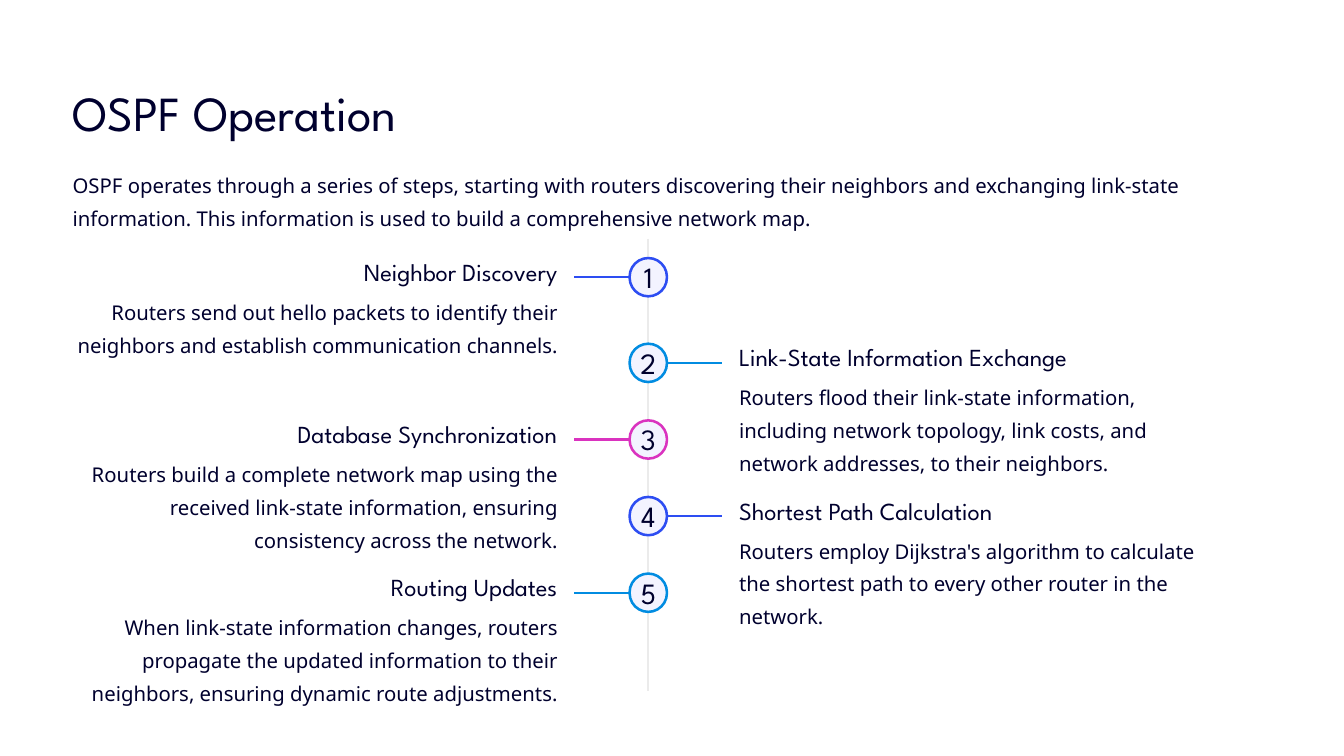
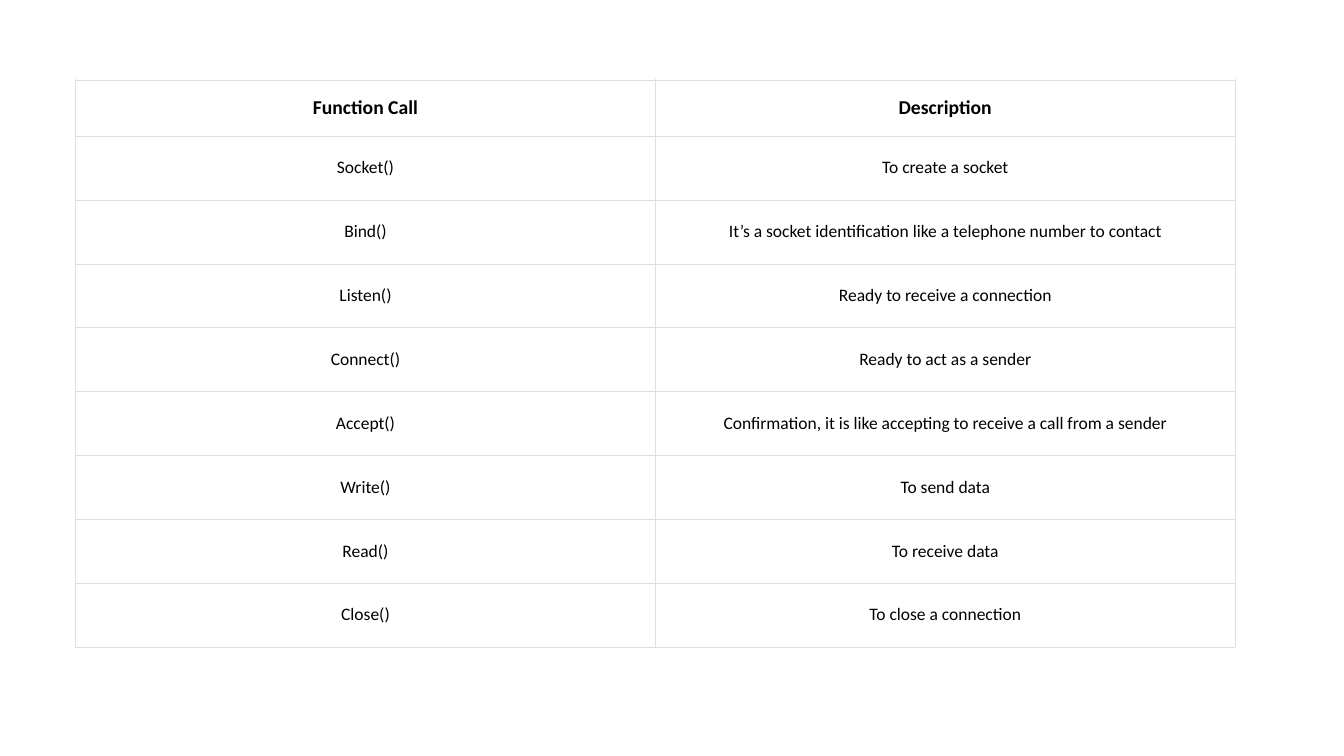
from dataclasses import dataclass
from itertools import cycle
from lxml.etree import SubElement
from pptx import Presentation
from pptx.dml.color import RGBColor
from pptx.enum.shapes import MSO_CONNECTOR as Connector, MSO_SHAPE as Shape
from pptx.enum.text import MSO_ANCHOR as Anchor, PP_ALIGN as Align
from pptx.oxml import parse_xml
from pptx.oxml.ns import nsdecls, qn
from pptx.util import Inches, Pt


@dataclass(frozen=True)
class Theme:
    ink: str = "00002E"
    white: str = "FFFFFF"
    black: str = "000000"
    badge: str = "F3F3FF"
    axis: str = "EBEBEB"
    grid: str = "DFDFDF"
    accents: tuple = ("2D4DF2", "018CE1", "DA33BF")
    heading_font: str = "League Spartan"
    body_font: str = "Noto Sans"
    table_font: str = "Calibri"
    title: float = 35
    number: float = 21
    step: float = 17.5
    body: float = 14.5
    table_head: float = 14
    table_body: float = 12.5


theme = Theme()


def write(frame, text, size, font, color, align=Align.LEFT, spacing=None, bold=False):
    para = frame.paragraphs[0]
    para.alignment = align
    if spacing:
        para.line_spacing = Pt(spacing)
    span = para.add_run()
    span.text = text
    span.font.size = Pt(size)
    span.font.name = font
    span.font.bold = bold
    span.font.color.rgb = RGBColor.from_string(color)


def add_line(page, x1, y1, x2, y2, color):
    line = page.shapes.add_connector(
        Connector.STRAIGHT, Inches(x1), Inches(y1), Inches(x2), Inches(y2))
    line.line.color.rgb = RGBColor.from_string(color)
    line.line.width = Pt(1.5)
    SubElement(line._element.spPr, qn("a:effectLst"))
    return line


deck = Presentation()
deck.slide_width, deck.slide_height = Inches(13.33), Inches(7.5)
blank = deck.slide_layouts[6]

page = deck.slides.add_slide(blank)
left, right, column_width = 0.72, 7.33, 4.81
axis_x, badge_width, badge_height = 6.43, 0.37, 0.38
stem_length = 0.55
heading_style = (theme.step, theme.heading_font, theme.ink)
body_style = (theme.body, theme.body_font, theme.ink)

add_line(page, axis_x, 2.37, axis_x, 6.86, theme.axis)

texts = [
    (left, 0.8, 11.42, 0.5, "OSPF Operation",
     (theme.title, theme.heading_font, theme.ink), Align.LEFT, 43.5),
    (left, 1.63, 11.42, 0.54,
     "OSPF operates through a series of steps, starting with routers discovering their "
     "neighbors and exchanging link-state information. This information is used to build "
     "a comprehensive network map.", body_style, Align.LEFT, 23.5),
]
steps = [
    (2.56, "Neighbor Discovery",
     "Routers send out hello packets to identify their neighbors and establish "
     "communication channels."),
    (3.41, "Link-State Information Exchange",
     "Routers flood their link-state information, including network topology, link costs, "
     "and network addresses, to their neighbors."),
    (4.17, "Database Synchronization",
     "Routers build a complete network map using the received link-state information, "
     "ensuring consistency across the network."),
    (4.93, "Shortest Path Calculation",
     "Routers employ Dijkstra's algorithm to calculate the shortest path to every other "
     "router in the network."),
    (5.69, "Routing Updates",
     "When link-state information changes, routers propagate the updated information to "
     "their neighbors, ensuring dynamic route adjustments."),
]

for number, ((top, heading, detail), accent) in enumerate(zip(steps, cycle(theme.accents)), 1):
    on_left = number % 2 == 1
    badge = page.shapes.add_shape(
        Shape.ROUNDED_RECTANGLE, Inches(axis_x - badge_width / 2), Inches(top),
        Inches(badge_width), Inches(badge_height))
    badge.adjustments[0] = 0.5
    badge.shadow.inherit = False
    badge.fill.solid()
    badge.fill.fore_color.rgb = RGBColor.from_string(theme.badge)
    badge.line.color.rgb = RGBColor.from_string(accent)
    badge.line.width = Pt(1.8)
    frame = badge.text_frame
    frame.margin_left = frame.margin_right = frame.margin_bottom = 0
    frame.margin_top = Inches(0.05)
    frame.vertical_anchor = Anchor.MIDDLE
    frame.word_wrap = False
    write(frame, str(number), theme.number, theme.heading_font, theme.ink, Align.CENTER, 21)

    direction = -1 if on_left else 1
    edge = axis_x + direction * badge_width / 2
    middle = top + badge_height / 2
    stem = add_line(page, edge, middle, edge + direction * stem_length, middle, accent)
    stem.begin_connect(badge, 1 if on_left else 3)

    x, align = (left, Align.RIGHT) if on_left else (right, Align.LEFT)
    texts.append((x, top - 0.02, column_width, 0.25, heading, heading_style, align, 21.5))
    texts.append((x, top + 0.33, column_width, 0.54, detail, body_style, align, 23.5))

for x, y, width, height, text, style, align, spacing in texts:
    box = page.shapes.add_textbox(Inches(x), Inches(y), Inches(width), Inches(height))
    frame = box.text_frame
    frame.word_wrap = True
    frame.margin_left = frame.margin_right = frame.margin_top = frame.margin_bottom = 0
    write(frame, text, *style, align, spacing)

page = deck.slides.add_slide(blank)
calls = [
    ("Function Call", "Description"),
    ("Socket()", "To create a socket"),
    ("Bind()", "It’s a socket identification like a telephone number to contact"),
    ("Listen()", "Ready to receive a connection"),
    ("Connect()", "Ready to act as a sender"),
    ("Accept()", "Confirmation, it is like accepting to receive a call from a sender"),
    ("Write()", "To send data"),
    ("Read()", "To receive data"),
    ("Close()", "To close a connection"),
]
table_height, head_height = 5.63, 0.56
row_height = (table_height - head_height) / (len(calls) - 1)
table = page.shapes.add_table(
    len(calls), 2, Inches(0.75), Inches(0.79), Inches(11.5), Inches(table_height)).table

for row_index, values in enumerate(calls):
    is_head = row_index == 0
    table.rows[row_index].height = Inches(head_height if is_head else row_height)
    for column_index, value in enumerate(values):
        cell = table.cell(row_index, column_index)
        cell.vertical_anchor = Anchor.MIDDLE
        cell.margin_left = cell.margin_right = Inches(0.1)
        cell.margin_top = cell.margin_bottom = Inches(0.1 if is_head else 0.15)
        cell.fill.solid()
        cell.fill.fore_color.rgb = RGBColor.from_string(theme.white)
        write(cell.text_frame, value, theme.table_head if is_head else theme.table_body,
              theme.table_font, theme.black, Align.CENTER, bold=is_head)
        properties = cell._tc.get_or_add_tcPr()
        for position, side in enumerate(("lnL", "lnR", "lnT", "lnB")):
            properties.insert(position, parse_xml(
                f'<a:{side} {nsdecls("a")} w="{Pt(0.23)}"><a:solidFill>'
                f'<a:srgbClr val="{theme.grid}"/></a:solidFill></a:{side}>'))

deck.save("out.pptx")
